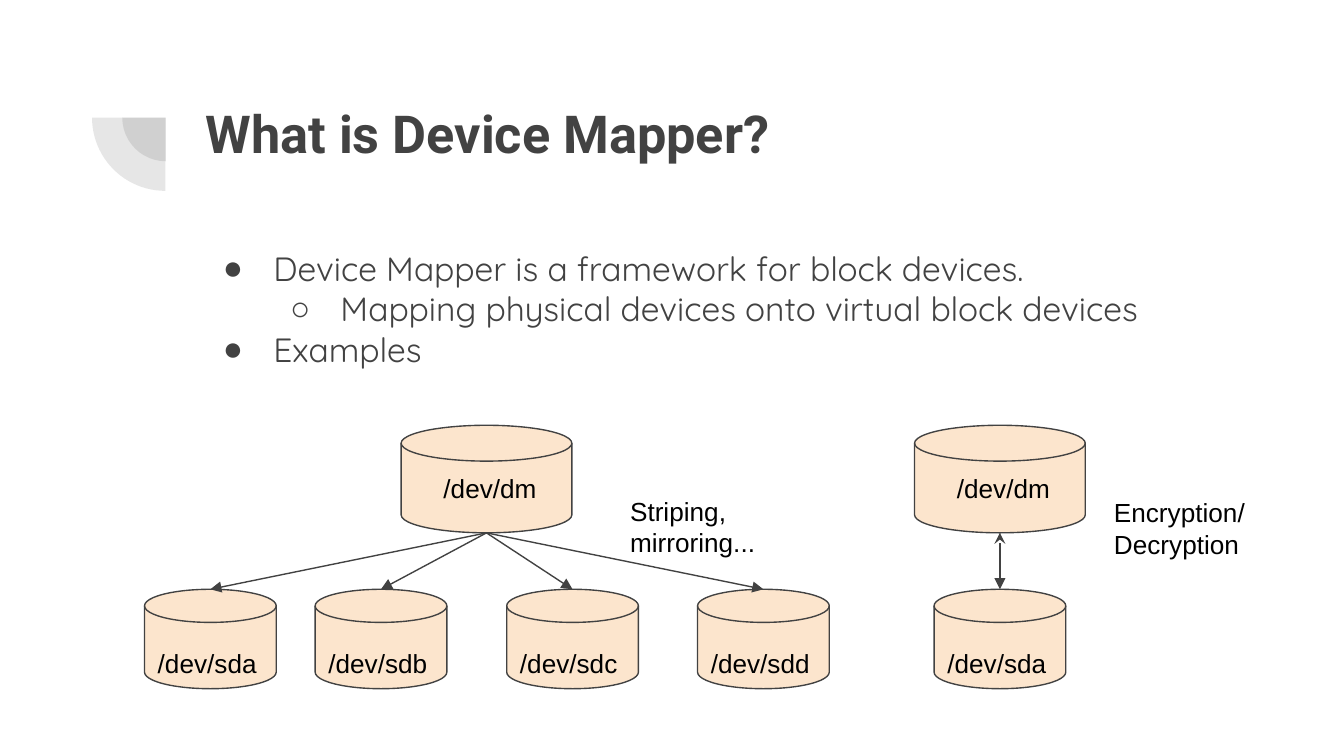
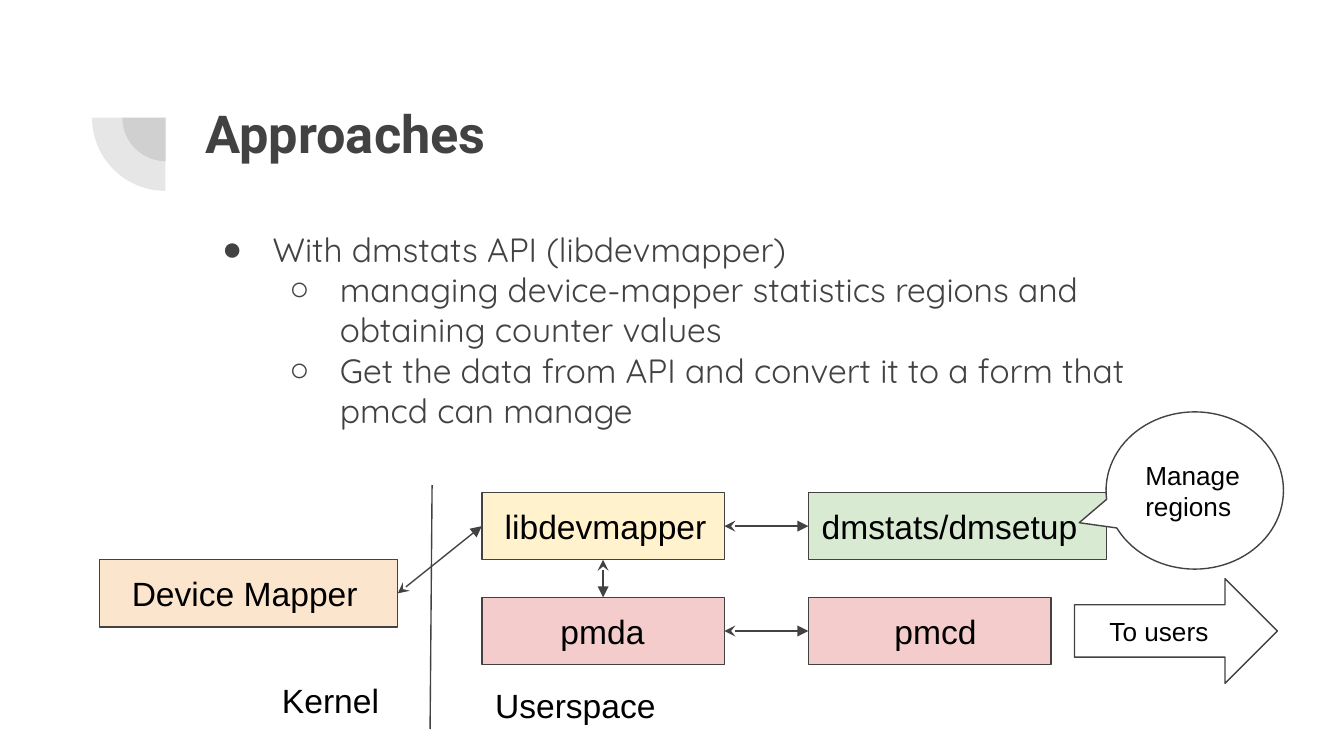
from dataclasses import dataclass

from lxml import etree
from pptx import Presentation
from pptx.dml.color import RGBColor
from pptx.enum.shapes import MSO_CONNECTOR, MSO_SHAPE
from pptx.enum.text import MSO_ANCHOR, MSO_AUTO_SIZE, PP_ALIGN
from pptx.oxml.ns import qn
from pptx.util import Emu, Pt

DISK = MSO_SHAPE.FLOWCHART_MAGNETIC_DISK
RECTANGLE = MSO_SHAPE.RECTANGLE
CALLOUT = MSO_SHAPE.OVAL_CALLOUT
RIGHT_ARROW = MSO_SHAPE.RIGHT_ARROW
PIE = MSO_SHAPE.PIE
STRAIGHT = MSO_CONNECTOR.STRAIGHT
TOP, MIDDLE = MSO_ANCHOR.TOP, MSO_ANCHOR.MIDDLE
LEFT = PP_ALIGN.LEFT
NO_AUTOFIT = MSO_AUTO_SIZE.NONE
SIDE_TOP, SIDE_LEFT, SIDE_BOTTOM, SIDE_RIGHT = range(4)
TITLE_ONLY = 5


@dataclass(frozen=True)
class Theme:
    ink: str = "424242"
    black: str = "000000"
    white: str = "FFFFFF"
    peach: str = "FCE5CD"
    green: str = "D9EAD3"
    pink: str = "F4CCCC"
    yellow: str = "FFF2CC"
    title_font: str = "Roboto"
    body_font: str = "Quicksand"
    label_font: str = "Arial"
    title_size: int = 28
    body_size: int = 18
    small_size: int = 14
    line_width: float = 0.75
    ornament_alpha: int = 13000


THEME = Theme()

# Lengths are px, 200 to the inch
PX = 4572
SLIDE_SIZE = (2000, 1125)
INSET = 20
TITLE_BOX = (286, 130, 1538, 218)
ORNAMENT = [(182, 110, 130), (137, 66, 218)]  # left, top, side
BULLETS = "●○"
BULLET_STEP, BULLET_HANG = 100, 75

# Slide 1: text, virtual disks over the physical disks they map to
MAPPER_TITLE = "What is Device Mapper?"
MAPPER_BODY_BOX = (287, 349, 1538, 556)
MAPPER_BODY = [
    (0, "Device Mapper is a framework for block devices."),
    (1, "Mapping physical devices onto virtual block devices"),
    (0, "Examples"),
]
VIRTUAL_NAME = "/dev/dm"
VIRTUAL_TOP, VIRTUAL_SIZE, VIRTUAL_LEAD = 633, (254, 160), 43
PHYSICAL_TOP, PHYSICAL_SIZE = 877, (196, 148)
PHYSICAL_MARGINS = (46, 0)  # top and bottom, setting the name low on the disk
MAPPINGS = [  # left of virtual disk, arrowhead at its end, physical disks
    (597, None, [("/dev/sda", 215), ("/dev/sdb", 469),
                 ("/dev/sdc", 754), ("/dev/sdd", 1038)]),
    (1361, "stealth", [("/dev/sda", 1390)]),
]
MAPPING_NOTES = [
    ("Striping, mirroring...", (918, 717, 274, 100)),
    ("Encryption/Decryption", (1638, 719, 254, 94)),
]

# Slide 2: text, components and the links between them
APPROACH_TITLE = "Approaches"
APPROACH_BODY_BOX = (286, 320, 1538, 218)
APPROACH_BODY = [
    (0, "With dmstats API (libdevmapper)"),
    (1, "managing device-mapper statistics regions and obtaining counter values"),
    (1, "Get the data from API and convert it to a form that pmcd can manage"),
]
COMPONENT_HEIGHT = 100
COMPONENTS = [  # name, left, top, width, fill, text lead
    ("Device Mapper", 148, 833, 444, THEME.peach, 28),
    ("dmstats/dmsetup", 1203, 733, 444, THEME.green, 0),
    ("pmda", 717, 889, 361, THEME.pink, 97),
    ("libdevmapper", 717, 733, 361, THEME.yellow, 14),
    ("pmcd", 1203, 889, 361, THEME.pink, 108),
]
LINKS = [
    ("Device Mapper", SIDE_RIGHT, "libdevmapper", SIDE_LEFT),
    ("libdevmapper", SIDE_BOTTOM, "pmda", SIDE_TOP),
    ("pmda", SIDE_RIGHT, "pmcd", SIDE_LEFT),
    ("libdevmapper", SIDE_RIGHT, "dmstats/dmsetup", SIDE_LEFT),
]
DIVIDER = ((643, 722), (640, 1085))
SPACES = [
    ("Kernel", (400, 992, 226, 68)),
    ("Userspace", (717, 1000, 361, 52)),
]
OUTCOMES = [  # preset, text, box, adjustments, text lead
    (CALLOUT, "Manage regions", (1646, 613, 264, 234), (-0.652, 0.205), 0),
    (RIGHT_ARROW, "To users", (1599, 861, 302, 156), (0.5, 0.5), 32),
]


def emu(*lengths):
    return [Emu(round(length * PX)) for length in lengths]


def color(value):
    return RGBColor.from_string(value)


def add_bullet(paragraph, level):
    properties = paragraph._p.get_or_add_pPr()
    properties.set("marL", str(BULLET_STEP * (level + 1) * PX))
    properties.set("indent", str(-BULLET_HANG * PX))
    bullet_color = etree.SubElement(properties, qn("a:buClr"))
    etree.SubElement(bullet_color, qn("a:srgbClr"), val=THEME.ink)
    etree.SubElement(properties, qn("a:buFont"), typeface=THEME.label_font)
    etree.SubElement(properties, qn("a:buChar"), char=BULLETS[level])


def write_text(shape, text, *, size=THEME.small_size, font=THEME.label_font,
               ink=THEME.black, bold=False, anchor=TOP, lead=0,
               margins=(INSET, INSET)):
    """Fill a shape with a plain string or a list of (level, text) bullets."""
    frame = shape.text_frame
    frame.word_wrap = True
    frame.auto_size = NO_AUTOFIT
    frame.vertical_anchor = anchor
    frame.margin_left, frame.margin_right = emu(INSET + lead, INSET)
    frame.margin_top, frame.margin_bottom = emu(*margins)
    bulleted = not isinstance(text, str)
    for index, (level, line) in enumerate(text if bulleted else [(0, text)]):
        paragraph = frame.add_paragraph() if index else frame.paragraphs[0]
        paragraph.text = line
        paragraph.level = level
        paragraph.alignment = LEFT
        if bulleted:
            add_bullet(paragraph, level)
        for run in paragraph.runs:
            run.font.name = font
            run.font.size = Pt(size)
            run.font.bold = bold
            run.font.color.rgb = color(ink)


def add_label(slide, text, box, **text_format):
    write_text(slide.shapes.add_textbox(*emu(*box)), text, **text_format)


def add_node(slide, preset, text, box, fill, adjustments=(), **text_format):
    shape = slide.shapes.add_shape(preset, *emu(*box))
    shape.shadow.inherit = False
    shape.fill.solid()
    shape.fill.fore_color.rgb = color(fill)
    shape.line.color.rgb = color(THEME.ink)
    shape.line.width = Pt(THEME.line_width)
    for index, value in enumerate(adjustments):
        shape.adjustments[index] = value
    write_text(shape, text, anchor=MIDDLE, **text_format)
    return shape


def add_line(slide, start=(0, 0), end=(0, 0), head=None, tail=None):
    connector = slide.shapes.add_connector(STRAIGHT, *emu(*start, *end))
    connector.line.color.rgb = color(THEME.ink)
    connector.line.width = Pt(THEME.line_width)
    line = connector.line._get_or_add_ln()
    for tag, arrow in (("a:headEnd", head), ("a:tailEnd", tail)):
        if arrow:
            etree.SubElement(line, qn(tag), type=arrow)
    etree.SubElement(connector._element.spPr, qn("a:effectLst"))
    return connector


def add_ornament(slide):
    for left, top, side in ORNAMENT:
        pie = slide.shapes.add_shape(PIE, *emu(left, top, side, side))
        pie.shadow.inherit = False
        pie.rotation = 270
        pie.adjustments[0], pie.adjustments[1] = 108, 162
        pie.line.fill.background()
        pie.fill.solid()
        pie.fill.fore_color.rgb = color(THEME.ink)
        fill_color = pie._element.spPr.find(qn("a:solidFill"))[0]
        etree.SubElement(fill_color, qn("a:alpha"), val=str(THEME.ornament_alpha))


def start_slide(presentation, title_text, body, body_box):
    slide = presentation.slides.add_slide(presentation.slide_layouts[TITLE_ONLY])
    add_ornament(slide)
    title = slide.shapes.title
    title.left, title.top, title.width, title.height = emu(*TITLE_BOX)
    write_text(title, title_text, size=THEME.title_size, font=THEME.title_font,
               ink=THEME.ink, bold=True)
    add_label(slide, body, body_box, size=THEME.body_size,
              font=THEME.body_font, ink=THEME.ink)
    return slide


def build_mapper_slide(presentation):
    slide = start_slide(presentation, MAPPER_TITLE, MAPPER_BODY, MAPPER_BODY_BOX)
    for virtual_left, head, disks in MAPPINGS:
        add_node(slide, DISK, VIRTUAL_NAME,
                 (virtual_left, VIRTUAL_TOP, *VIRTUAL_SIZE),
                 THEME.peach, lead=VIRTUAL_LEAD)
        start = (virtual_left + VIRTUAL_SIZE[0] / 2, VIRTUAL_TOP + VIRTUAL_SIZE[1])
        for name, left in disks:
            add_node(slide, DISK, name, (left, PHYSICAL_TOP, *PHYSICAL_SIZE),
                     THEME.peach, margins=PHYSICAL_MARGINS)
            end = (left + PHYSICAL_SIZE[0] / 2, PHYSICAL_TOP)
            add_line(slide, start, end, head=head, tail="triangle")
    for text, box in MAPPING_NOTES:
        add_label(slide, text, box)


def build_approach_slide(presentation):
    slide = start_slide(presentation, APPROACH_TITLE, APPROACH_BODY,
                        APPROACH_BODY_BOX)
    nodes = {}
    for name, left, top, width, fill, lead in COMPONENTS:
        nodes[name] = add_node(slide, RECTANGLE, name,
                               (left, top, width, COMPONENT_HEIGHT), fill,
                               size=THEME.body_size, lead=lead)
    add_line(slide, *DIVIDER)
    for text, box in SPACES:
        add_label(slide, text, box, size=THEME.body_size)
    for source, source_side, target, target_side in LINKS:
        connector = add_line(slide, head="stealth", tail="triangle")
        connector.begin_connect(nodes[source], source_side)
        connector.end_connect(nodes[target], target_side)
    for preset, text, box, adjustments, lead in OUTCOMES:
        add_node(slide, preset, text, box, THEME.white, adjustments, lead=lead)


def main():
    presentation = Presentation()
    presentation.slide_width, presentation.slide_height = emu(*SLIDE_SIZE)
    build_mapper_slide(presentation)
    build_approach_slide(presentation)
    presentation.save("out.pptx")


if __name__ == "__main__":
    main()
